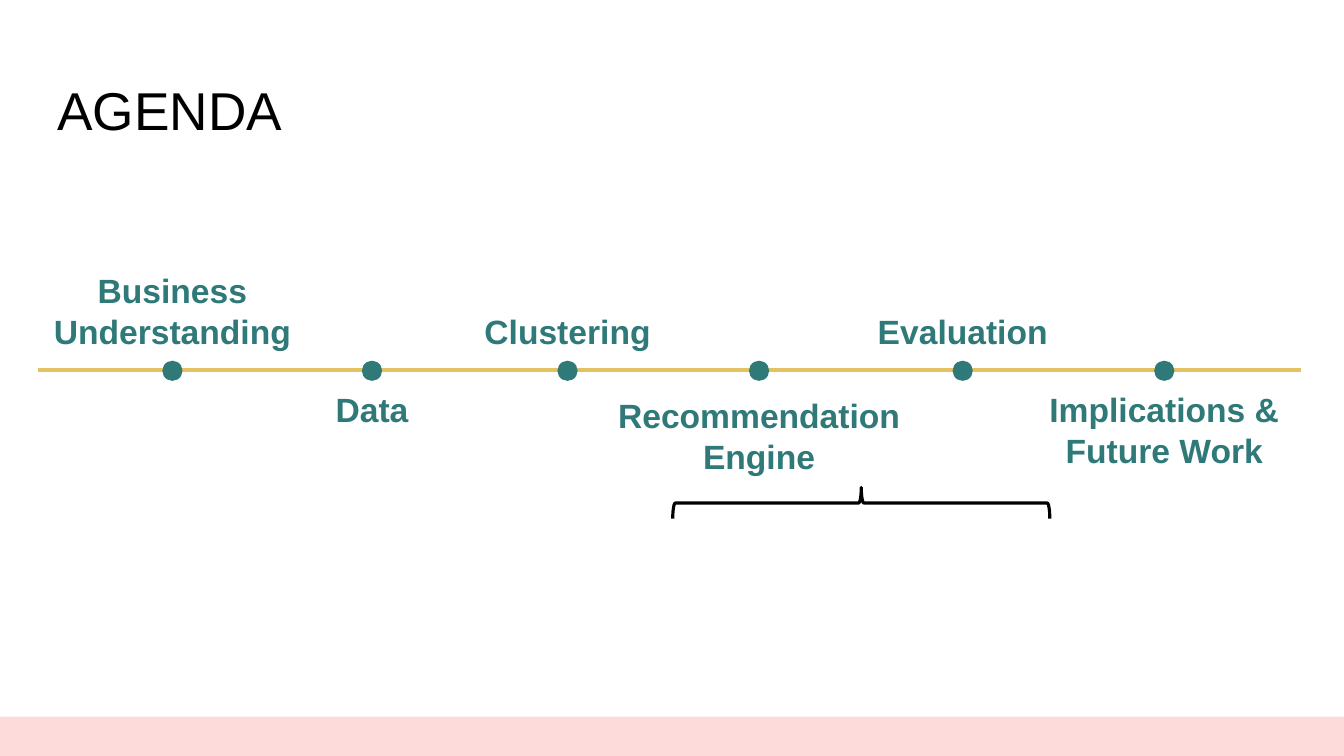
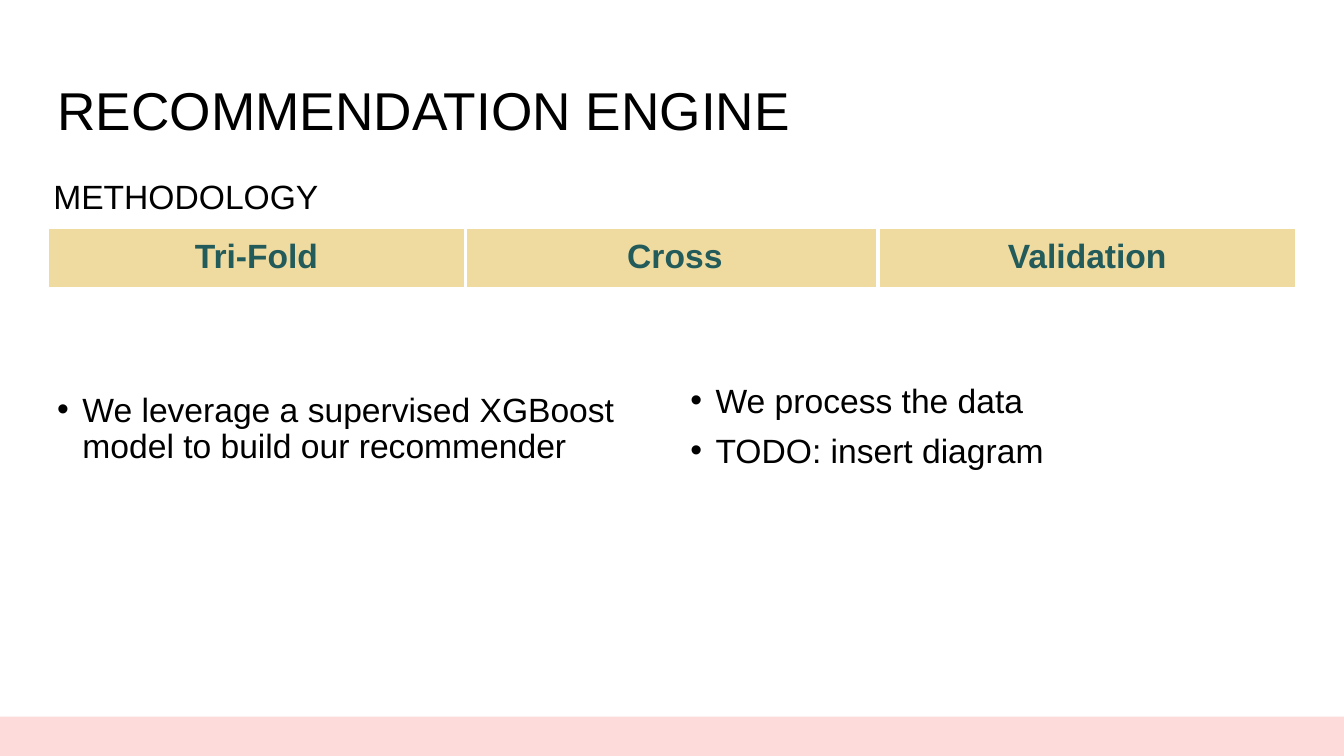
from lxml import etree
from pptx import Presentation
from pptx import util as u
from pptx.dml.color import RGBColor
from pptx.enum import shapes, text
from pptx.oxml.ns import qn

WIDTH, HEIGHT = u.Inches(13.33), u.Inches(7.5)
FONT = "Arial"
COLORS = {
    "black": "000000",
    "white": "FFFFFF",
    "band": "FCDBDA",
    "timeline": "E4C261",
    "teal": "2F7979",
    "dark teal": "235B5B",
    "bar": "EFDAA0",
}
LEFT, CONTENT_WIDTH = 3.52, 93.2

# Timeline stops: centre, label top, label anchor, label
LABEL_WIDTH, LABEL_HEIGHT = 22.5, 10.8
ABOVE = (35.6, text.MSO_ANCHOR.BOTTOM)
BELOW = (51.5, text.MSO_ANCHOR.TOP)
LOWER = (52.27, text.MSO_ANCHOR.TOP)
STOPS = [
    (12.83, ABOVE, "Business\nUnderstanding"),
    (27.68, BELOW, "Data"),
    (42.23, ABOVE, "Clustering"),
    (56.48, LOWER, "Recommendation\nEngine"),
    (71.63, ABOVE, "Evaluation"),
    (86.63, BELOW, "Implications & Future Work"),
]
BARS = [(3.52, "Tri-Fold"), (34.65, "Cross"), (65.33, "Validation")]


def across(percent):
    return round(WIDTH * percent / 100)


def down(percent):
    return round(HEIGHT * percent / 100)


def area(left, top, width, height):
    """Turn percentages of the slide into a position and a size."""
    return across(left), down(top), across(width), down(height)


def color(name):
    return RGBColor.from_string(COLORS[name])


def write(frame, words, ink="black", size=24, bold=False,
          align=text.PP_ALIGN.LEFT, spacing=0.9, before=0):
    frame.word_wrap = True
    frame.text = words
    for para in frame.paragraphs:
        para.alignment = align
        para.line_spacing = spacing
        para.space_before = u.Pt(before)
        for span in para.runs:
            span.font.name = FONT
            span.font.size = u.Pt(size)
            span.font.bold = bold
            span.font.color.rgb = color(ink)


def add_preset(slide, kind, place, fill=None, line=None, weight=2.25):
    shape = slide.shapes.add_shape(kind, *place)
    shape.shadow.inherit = False
    if fill:
        shape.fill.solid()
        shape.fill.fore_color.rgb = color(fill)
    else:
        shape.fill.background()
    if line:
        shape.line.color.rgb = color(line)
        shape.line.width = u.Pt(weight)
    else:
        shape.line.fill.background()
    return shape


def add_text(slide, place, words, **style):
    frame = slide.shapes.add_textbox(*place).text_frame
    write(frame, words, **style)
    return frame


def add_bullets(slide, place, words):
    frame = add_text(slide, place, words, before=10)
    for para in frame.paragraphs:
        props = para._p.get_or_add_pPr()
        props.set("marL", str(u.Inches(0.25)))
        props.set("indent", str(-u.Inches(0.25)))
        etree.SubElement(props, qn("a:buFont")).set("typeface", FONT)
        etree.SubElement(props, qn("a:buChar")).set("char", "•")


def add_stop(slide, centre, side, label):
    """Add one dot on the timeline with its label."""
    top, anchor = side
    place = area(centre - LABEL_WIDTH / 2, top, LABEL_WIDTH, LABEL_HEIGHT)
    frame = add_text(slide, place, label, ink="teal", bold=True,
                     align=text.PP_ALIGN.CENTER, spacing=1.0)
    frame.vertical_anchor = anchor
    frame.margin_left = frame.margin_right = 0
    frame.margin_top = frame.margin_bottom = 0
    size = u.Inches(0.2)
    dot = (across(centre) - size // 2, down(49.05) - size // 2, size, size)
    add_preset(slide, shapes.MSO_SHAPE.OVAL, dot, fill="teal")


def add_slide(deck, layout, title):
    slide = deck.slides.add_slide(layout)
    write(slide.shapes.title.text_frame, title, size=38)
    return slide


def prepare_layout(layout):
    for holder in layout.placeholders:
        if holder.placeholder_format.type == shapes.PP_PLACEHOLDER.TITLE:
            holder.left, holder.top, holder.width, holder.height = area(
                LEFT, 5.33, CONTENT_WIDTH, 19.33)
            holder.text_frame.vertical_anchor = text.MSO_ANCHOR.MIDDLE


def share_band(slide, layout):
    """Draw the bottom band and move it to the layout, for all slides."""
    band = add_preset(slide, shapes.MSO_SHAPE.RECTANGLE,
                      area(0, 94.8, 100, 5.2), fill="band")
    layout.shapes.element.append(band.element)


def fill_agenda(slide):
    line = slide.shapes.add_connector(
        shapes.MSO_CONNECTOR.STRAIGHT,
        across(2.85), down(48.95), across(96.8), down(48.95))
    line.line.color.rgb = color("timeline")
    line.line.width = u.Pt(3)
    etree.SubElement(line.element.spPr, qn("a:effectLst"))
    for stop in STOPS:
        add_stop(slide, *stop)
    brace = add_preset(slide, shapes.MSO_SHAPE.RIGHT_BRACE,
                       area(62.92, 41.6, 2.33, 49.87), line="black")
    brace.rotation = 270


def fill_method(slide):
    add_text(slide, area(3.23, 23.2, CONTENT_WIDTH, 6.7), "METHODOLOGY")
    for left, label in BARS:
        bar = add_preset(slide, shapes.MSO_SHAPE.RECTANGLE,
                         area(left, 30.13, 31.13, 8), fill="bar", line="white")
        write(bar.text_frame, label, ink="dark teal", bold=True,
              align=text.PP_ALIGN.CENTER)
        bar.text_frame.vertical_anchor = text.MSO_ANCHOR.MIDDLE
    add_bullets(slide, area(LEFT, 51.33, 45.83, 38.6),
                "We leverage a supervised XGBoost model to build our recommender")
    add_bullets(slide, area(50.63, 50.13, 45.83, 38.6),
                "We process the data\nTODO: insert diagram")


def main():
    deck = Presentation()
    deck.slide_width, deck.slide_height = WIDTH, HEIGHT
    layout = deck.slide_layouts.get_by_name("Title Only")
    prepare_layout(layout)
    agenda = add_slide(deck, layout, "AGENDA")
    share_band(agenda, layout)
    fill_agenda(agenda)
    fill_method(add_slide(deck, layout, "RECOMMENDATION ENGINE"))
    deck.save("out.pptx")


if __name__ == "__main__":
    main()
